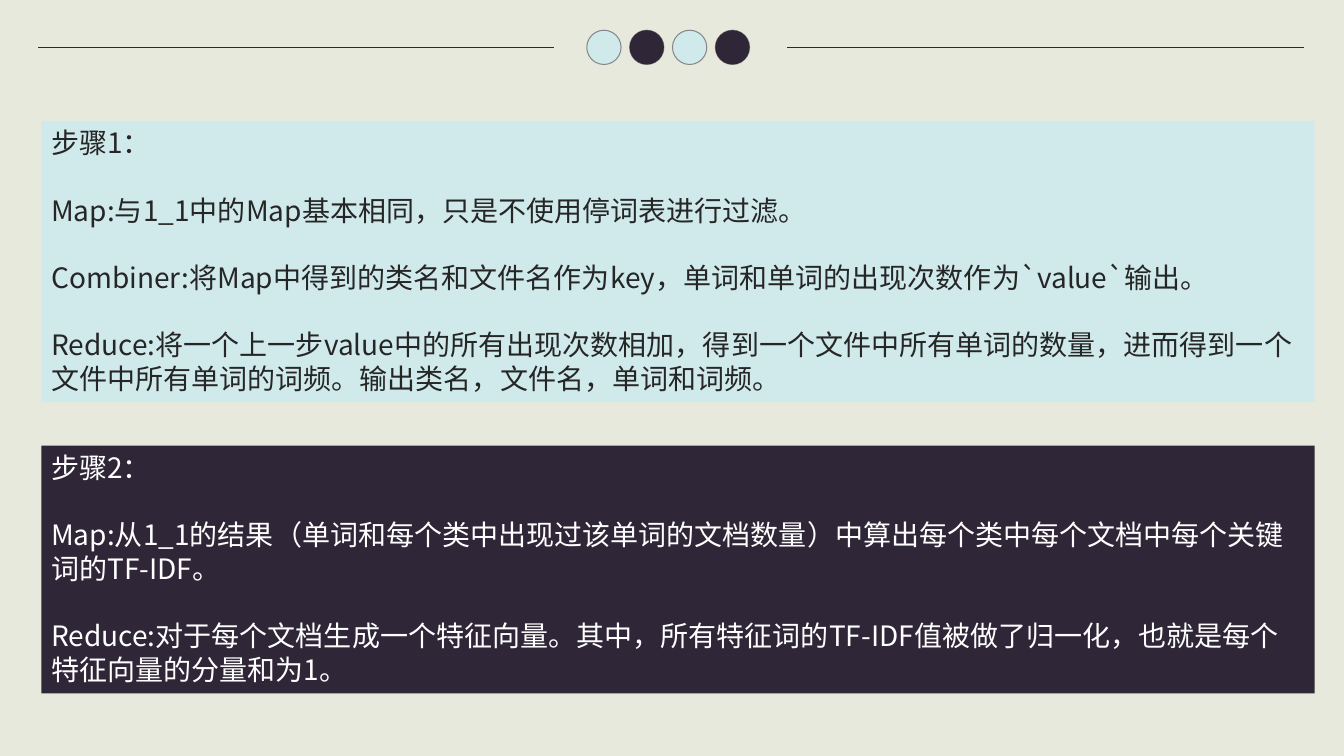
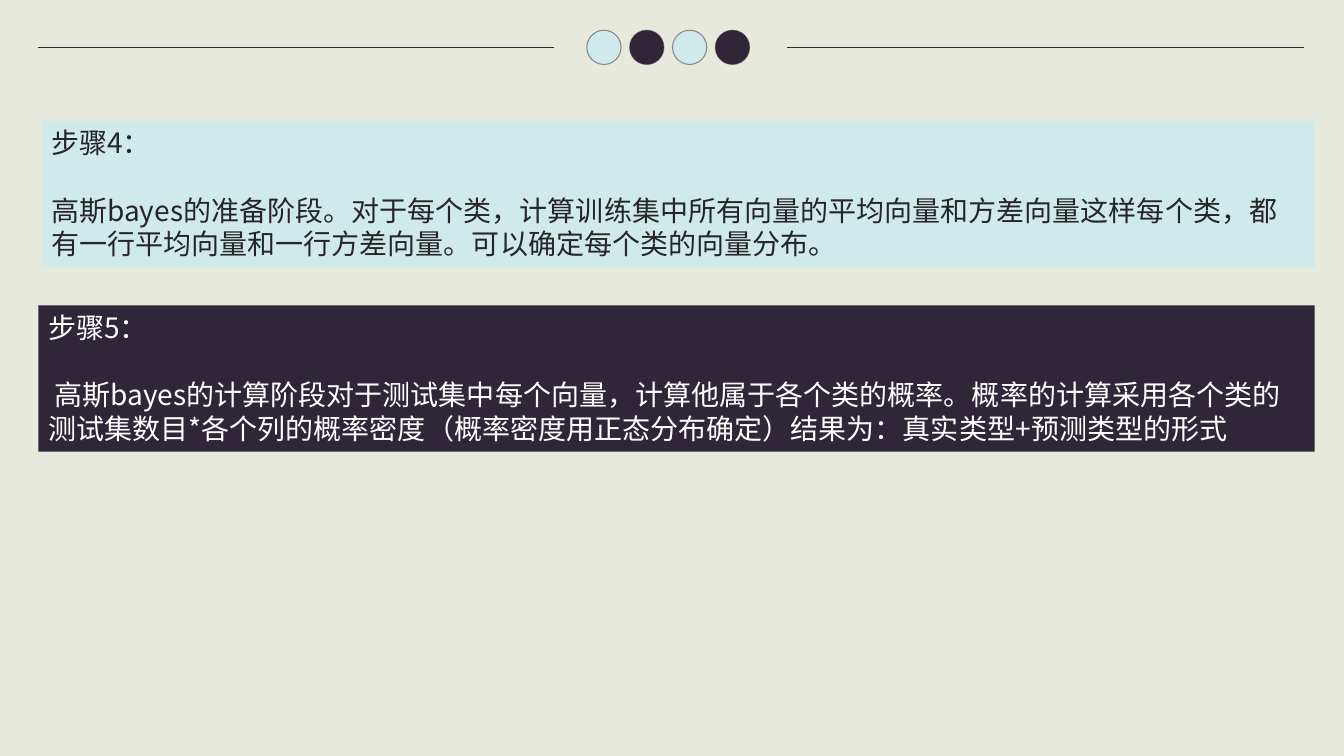
from dataclasses import dataclass

from lxml import etree
from pptx import Presentation, util as u
from pptx.dml.color import RGBColor
from pptx.enum import shapes, text
from pptx.oxml.ns import qn


@dataclass(frozen=True)
class Theme:
    page: str = "E7E9DC"
    pale: str = "D0EAEB"
    dark: str = "2F2637"
    ink: str = "262626"
    white: str = "FFFFFF"
    font: str = "Noto Sans CJK SC"
    size: float = 20
    pitch: float = 24
    rule: float = 0.5
    ring: float = 0.75


@dataclass(frozen=True)
class Panel:
    left: float
    top: float
    height: float
    fill: str
    ink: str
    lines: tuple[str, ...]


T = Theme()
WIDTH, HEIGHT = 13.33, 7.5
RIGHT = 13.04
RULE_Y = 0.47
RULES = ((0.38, 5.49), (7.81, 12.93))
DOT, DOT_LEFT, DOT_STEP = 0.34, 5.82, 0.425

DECK = (
    (
        Panel(0.41, 1.2, 2.79, T.pale, T.ink, (
            "步骤1：",
            "Map:与1_1中的Map基本相同，只是不使用停词表进行过滤。",
            "Combiner:将Map中得到的类名和文件名作为key，单词和单词的出现次数作为`value`输出。",
            "Reduce:将一个上一步value中的所有出现次数相加，得到一个文件中所有单词的数量，"
            "进而得到一个文件中所有单词的词频。输出类名，文件名，单词和词频。",
        )),
        Panel(0.41, 4.42, 2.46, T.dark, T.white, (
            "步骤2：",
            "Map:从1_1的结果（单词和每个类中出现过该单词的文档数量）中算出每个类中每个文档中"
            "每个关键词的TF-IDF。",
            "Reduce:对于每个文档生成一个特征向量。其中，所有特征词的TF-IDF值被做了归一化，"
            "也就是每个特征向量的分量和为1。",
        )),
    ),
    (
        Panel(0.41, 1.2, 1.45, T.pale, T.ink, (
            "步骤4：",
            "高斯bayes的准备阶段。对于每个类，计算训练集中所有向量的平均向量和方差向量"
            "这样每个类，都有一行平均向量和一行方差向量。可以确定每个类的向量分布。",
        )),
        Panel(0.38, 3.03, 1.45, T.dark, T.white, (
            "步骤5：",
            " 高斯bayes的计算阶段对于测试集中每个向量，计算他属于各个类的概率。"
            "概率的计算采用各个类的测试集数目*各个列的概率密度（概率密度用正态分布确定）"
            "结果为：真实类型+预测类型的形式",
        )),
    ),
)


def rgb(code: str) -> RGBColor:
    return RGBColor.from_string(code)


def paint(shape, code: str) -> None:
    shape.shadow.inherit = False
    shape.fill.solid()
    shape.fill.fore_color.rgb = rgb(code)


def draw_rules(slide) -> None:
    for start, end in RULES:
        rule = slide.shapes.add_connector(
            shapes.MSO_CONNECTOR.STRAIGHT,
            u.Inches(start), u.Inches(RULE_Y), u.Inches(end), u.Inches(RULE_Y))
        rule.line.color.rgb = rgb(T.dark)
        rule.line.width = u.Pt(T.rule)
        etree.SubElement(rule._element.spPr, qn("a:effectLst"))


def draw_dots(slide) -> None:
    group = slide.shapes.add_group_shape()
    for col, code in enumerate((T.pale, T.dark) * 2):
        dot = group.shapes.add_shape(
            shapes.MSO_SHAPE.OVAL,
            u.Inches(DOT_LEFT + col * DOT_STEP), u.Inches(RULE_Y - DOT / 2),
            u.Inches(DOT), u.Inches(DOT))
        paint(dot, code)
        dot.line.color.rgb = rgb(T.dark)
        dot.line.width = u.Pt(T.ring)
        tint = dot.line._ln.find(".//" + qn("a:srgbClr"))
        etree.SubElement(tint, qn("a:alpha"), val="50000")


def draw_panel(slide, panel: Panel) -> None:
    box = slide.shapes.add_shape(
        shapes.MSO_SHAPE.RECTANGLE,
        u.Inches(panel.left), u.Inches(panel.top),
        u.Inches(RIGHT - panel.left), u.Inches(panel.height))
    paint(box, panel.fill)
    box.line.fill.background()
    frame = box.text_frame
    frame.text = "\n".join(panel.lines)
    frame.word_wrap = True
    frame.vertical_anchor = text.MSO_ANCHOR.TOP
    for para in frame.paragraphs:
        para.alignment = text.PP_ALIGN.LEFT
        para.line_spacing = u.Pt(T.pitch)
        para.space_after = u.Pt(T.pitch)
        for run in para.runs:
            style_run(run, panel.ink)
    frame.paragraphs[-1].space_after = u.Pt(0)


def style_run(run, ink: str) -> None:
    """Set the same face for Latin and East Asian characters."""
    run.font.size = u.Pt(T.size)
    run.font.color.rgb = rgb(ink)
    run.font.name = T.font
    etree.SubElement(run.font._element, qn("a:ea"), typeface=T.font)


def main() -> None:
    deck = Presentation()
    deck.slide_width = u.Inches(WIDTH)
    deck.slide_height = u.Inches(HEIGHT)
    back = deck.slide_master.background.fill
    back.solid()
    back.fore_color.rgb = rgb(T.page)
    blank = deck.slide_layouts.get_by_name("Blank")
    for panels in DECK:
        slide = deck.slides.add_slide(blank)
        draw_rules(slide)
        draw_dots(slide)
        for panel in panels:
            draw_panel(slide, panel)
    deck.save("out.pptx")


if __name__ == "__main__":
    main()
